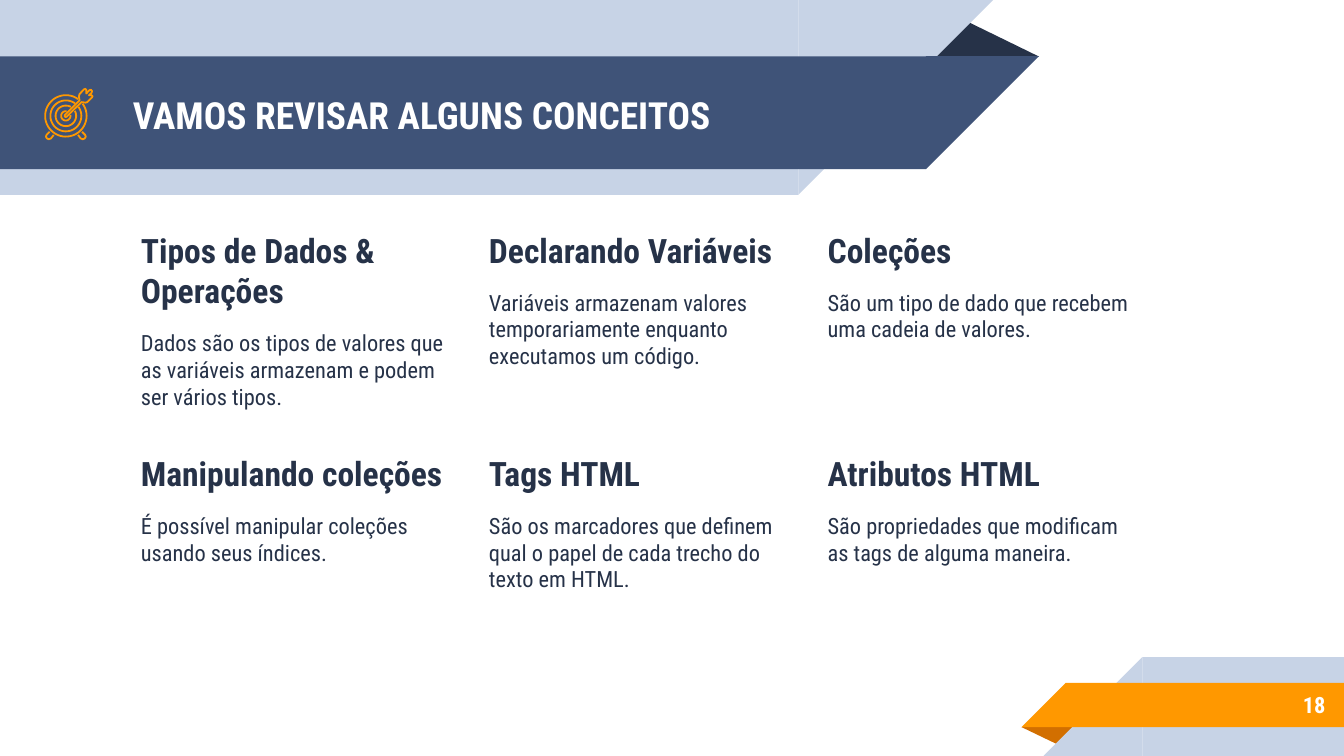
import math
from dataclasses import dataclass

import pptx
import pptx.dml.color
import pptx.enum.shapes
import pptx.enum.text
import pptx.shapes.autoshape
import pptx.slide
import pptx.text.text
import pptx.util

Pt = pptx.util.Pt
RGBColor = pptx.dml.color.RGBColor
SHAPE = pptx.enum.shapes.MSO_SHAPE
ALIGN = pptx.enum.text.PP_ALIGN
ANCHOR = pptx.enum.text.MSO_ANCHOR

NAVY = RGBColor(0x26, 0x32, 0x48)
BLUE = RGBColor(0x3F, 0x53, 0x78)
PALE = RGBColor(0xC7, 0xD3, 0xE6)
ORANGE = RGBColor(0xFF, 0x98, 0x00)
RUST = RGBColor(0xD2, 0x6F, 0x00)
WHITE = RGBColor(0xFF, 0xFF, 0xFF)
FONT = "Roboto Condensed"
SLIDE_W, SLIDE_H = 720, 405


@dataclass(frozen=True)
class Box:
    left: float
    top: float
    width: float
    height: float

    def lengths(self) -> list[pptx.util.Length]:
        return [Pt(v) for v in (self.left, self.top, self.width, self.height)]


@dataclass(frozen=True)
class Band:
    """A bar at one slide edge whose free end is cut at 45 degrees."""
    box: Box
    color: RGBColor
    from_left: bool


@dataclass(frozen=True)
class Fold:
    box: Box
    color: RGBColor
    rotation: float


@dataclass(frozen=True)
class Concept:
    title: str
    text: str


@dataclass(frozen=True)
class Ring:
    radius: float
    half_gap: float


TOP_FOLD = Fold(Box(495.4, 10.1, 61.2, 20.2), NAVY, 0)
BOTTOM_FOLD = Fold(Box(547.2, 389.5, 31, 10.1), RUST, 180)
TOP_BANDS = [
    Band(Box(0, 0, 427.7, 104.4), PALE, True),
    Band(Box(0, 30.2, 496.1, 60.5), BLUE, True),
]
BOTTOM_BANDS = [
    Band(Box(612, 352.1, 108, 52.9), PALE, False),
    Band(Box(571, 365.8, 149, 23.8), ORANGE, False),
]

COLUMNS = (68.4, 254.9, 436.3)
ROW_TOP, CELL_W, CELL_H = 115.9, 177.1, 119.5
CONCEPTS = [
    Concept("Tipos de Dados & Operações",
            "Dados são os tipos de valores que as variáveis armazenam e podem ser vários tipos."),
    Concept("Declarando Variáveis",
            "Variáveis armazenam valores temporariamente enquanto executamos um código."),
    Concept("Coleções", "São um tipo de dado que recebem uma cadeia de valores."),
    Concept("Manipulando coleções", "É possível manipular coleções usando seus índices."),
    Concept("Tags HTML",
            "São os marcadores que definem qual o papel de cada trecho do texto em HTML."),
    Concept("Atributos HTML", "São propriedades que modificam as tags de alguma maneira."),
]

TARGET_X, TARGET_Y = 35.3, 62.1
RINGS = [Ring(11.1, 9), Ring(8.3, 9), Ring(5.5, 16), Ring(2.5, 35)]
FOOT = [(26.6, 70.6), (25, 72.2), (24.6, 73.2), (25.2, 74.2), (26.2, 74.6),
        (27.3, 74.2), (28.8, 72.3)]
ARROW = [(49.1, 51.1), (47.7, 51), (49.1, 49.7), (49.3, 48.8), (48.8, 48.1), (48, 48.3),
         (46.2, 50.1), (46.2, 48.2), (45.8, 47.6), (45.1, 47.8), (42.6, 50.4), (42.3, 51.6),
         (42.6, 53.8), (34.8, 61.6), (34.6, 62.2), (35, 62.7), (35.6, 62.6), (43.7, 54.7),
         (45.8, 55), (46.8, 54.7), (49.3, 52.2), (49.6, 51.5)]


def add_solid(s: pptx.slide.Slide, kind: SHAPE, box: Box,
              color: RGBColor) -> pptx.shapes.autoshape.Shape:
    sp = s.shapes.add_shape(kind, *box.lengths())
    sp.shadow.inherit = False
    sp.fill.solid()
    sp.fill.fore_color.rgb = color
    sp.line.fill.background()
    return sp


def add_fold(s: pptx.slide.Slide, fold: Fold) -> None:
    sp = add_solid(s, SHAPE.ISOSCELES_TRIANGLE, fold.box, fold.color)
    sp.adjustments[0] = 0.324
    sp.rotation = fold.rotation


def add_band(s: pptx.slide.Slide, band: Band) -> None:
    box = band.box
    add_solid(s, SHAPE.RECTANGLE, box, band.color)
    left = box.left + box.width if band.from_left else box.left - box.height
    end = Box(left, box.top, box.height, box.height)
    sp = add_solid(s, SHAPE.RIGHT_TRIANGLE, end, band.color)
    sp._element.spPr.xfrm.set("flipV" if band.from_left else "flipH", "1")


def add_outline(s: pptx.slide.Slide, points: list[tuple[float, float]],
                close: bool = False) -> None:
    pts = [(Pt(x), Pt(y)) for x, y in points]
    builder = s.shapes.build_freeform(*pts[0])
    builder.add_line_segments(pts[1:], close=close)
    sp = builder.convert_to_shape()
    sp.shadow.inherit = False
    sp.fill.background()
    sp.line.color.rgb = ORANGE
    sp.line.width = Pt(0.96)


def ring_points(ring: Ring, steps: int = 48) -> list[tuple[float, float]]:
    """Points of a circle that stays open around its upper right."""
    start = 45 + ring.half_gap
    sweep = 360 - 2 * ring.half_gap
    angles = [math.radians(start + sweep * i / steps) for i in range(steps + 1)]
    return [(TARGET_X + ring.radius * math.cos(a), TARGET_Y - ring.radius * math.sin(a))
            for a in angles]


def add_target(s: pptx.slide.Slide) -> None:
    for ring in RINGS:
        add_outline(s, ring_points(ring))
    add_outline(s, FOOT)
    add_outline(s, [(2 * TARGET_X - x, y) for x, y in FOOT])
    add_outline(s, ARROW, close=True)


def add_text_frame(s: pptx.slide.Slide, box: Box,
                   anchor: ANCHOR = ANCHOR.TOP) -> pptx.text.text.TextFrame:
    tf = s.shapes.add_textbox(*box.lengths()).text_frame
    tf.word_wrap = True
    tf.vertical_anchor = anchor
    tf.margin_left = tf.margin_right = tf.margin_top = tf.margin_bottom = Pt(7.2)
    return tf


def set_text(p: pptx.text.text._Paragraph, text: str, size: float,
             color: RGBColor, bold: bool = True) -> None:
    p.text = text
    p.font.name = FONT
    p.font.size = Pt(size)
    p.font.bold = bold
    p.font.color.rgb = color


def add_concept(s: pptx.slide.Slide, concept: Concept, box: Box) -> None:
    tf = add_text_frame(s, box)
    set_text(tf.paragraphs[0], concept.title, 18, NAVY)
    p = tf.add_paragraph()
    p.space_before = Pt(10)
    set_text(p, concept.text, 12, NAVY, bold=False)


def main() -> None:
    prs = pptx.Presentation()
    prs.slide_width, prs.slide_height = Pt(SLIDE_W), Pt(SLIDE_H)
    s = prs.slides.add_slide(prs.slide_layouts[6])

    for fold, bands in ((TOP_FOLD, TOP_BANDS), (BOTTOM_FOLD, BOTTOM_BANDS)):
        add_fold(s, fold)
        for band in bands:
            add_band(s, band)

    tf = add_text_frame(s, Box(64.1, 31, 414, 60.5), ANCHOR.MIDDLE)
    set_text(tf.paragraphs[0], "VAMOS REVISAR ALGUNS CONCEITOS", 20, WHITE)

    for i, concept in enumerate(CONCEPTS):
        row, col = divmod(i, len(COLUMNS))
        add_concept(s, concept, Box(COLUMNS[col], ROW_TOP + row * CELL_H, CELL_W, CELL_H))

    tf = add_text_frame(s, Box(599.8, 365, 117.4, 25.2), ANCHOR.MIDDLE)
    set_text(tf.paragraphs[0], "18", 12, WHITE)
    tf.paragraphs[0].alignment = ALIGN.RIGHT

    add_target(s)
    prs.save("out.pptx")


if __name__ == "__main__":
    main()
